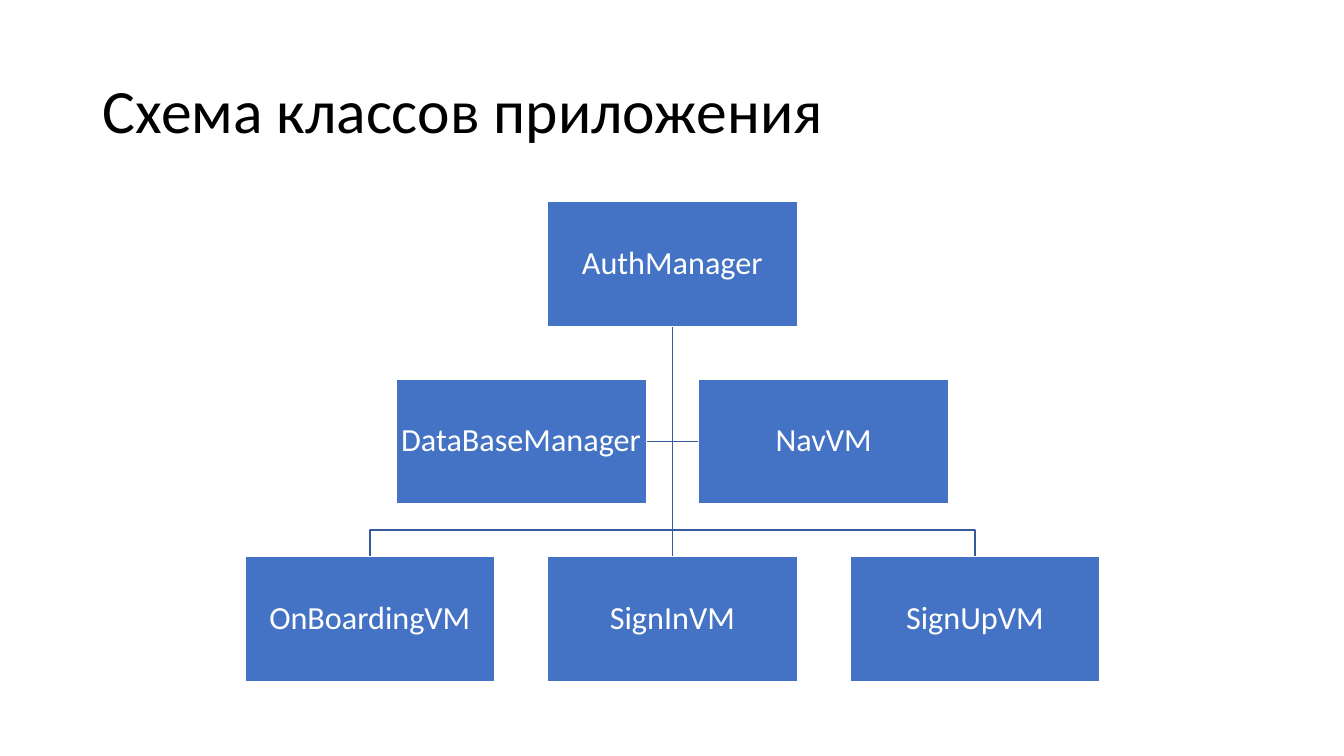
import dataclasses

import lxml.etree
import pptx
import pptx.dml.color
import pptx.enum.shapes
import pptx.enum.text
import pptx.oxml.ns
import pptx.util

SLIDE_WIDTH, SLIDE_HEIGHT = 13.33, 7.5
BOX_WIDTH, BOX_HEIGHT = 2.48, 1.24
COLUMN_STEP, ROW_STEP = 3.0, 1.76
CENTER_X, FIRST_TOP = 6.67, 2.0
JOINT_GAP = 0.26
FONT = "Calibri"
BLUE, LINK_BLUE, WHITE, BLACK = "4472C4", "365B9D", "FFFFFF", "000000"


@dataclasses.dataclass(frozen=True)
class ClassBox:
    name: str
    column: float
    row: int

    @property
    def middle(self) -> float:
        return CENTER_X + self.column * COLUMN_STEP

    @property
    def left(self) -> float:
        return self.middle - BOX_WIDTH / 2

    @property
    def top(self) -> float:
        return FIRST_TOP + self.row * ROW_STEP


ROOT = ClassBox("AuthManager", 0, 0)
ASSISTANTS = [ClassBox("DataBaseManager", -0.5, 1), ClassBox("NavVM", 0.5, 1)]
SIGN_IN = ClassBox("SignInVM", 0, 2)
OUTER_CHILDREN = [ClassBox("OnBoardingVM", -1, 2), ClassBox("SignUpVM", 1, 2)]


def color(value: str) -> pptx.dml.color.RGBColor:
    return pptx.dml.color.RGBColor.from_string(value)


def write(shape, text: str, size: float, text_color: str, alignment) -> None:
    frame = shape.text_frame
    frame.word_wrap = True
    frame.vertical_anchor = pptx.enum.text.MSO_ANCHOR.MIDDLE
    frame.text = text
    para = frame.paragraphs[0]
    para.alignment = alignment
    para.line_spacing = 0.9
    for span in para.runs:
        span.font.name = FONT
        span.font.size = pptx.util.Pt(size)
        span.font.color.rgb = color(text_color)


def style_line(shape, line_color: str) -> None:
    shape.line.color.rgb = color(line_color)
    shape.line.width = pptx.util.Pt(1)


def add_title(page, text: str) -> None:
    box = page.shapes.add_textbox(
        pptx.util.Inches(0.92), pptx.util.Inches(0.4),
        pptx.util.Inches(11.5), pptx.util.Inches(1.45),
    )
    write(box, text, 44, BLACK, pptx.enum.text.PP_ALIGN.LEFT)


def add_class_box(page, item: ClassBox):
    box = page.shapes.add_shape(
        pptx.enum.shapes.MSO_SHAPE.RECTANGLE,
        pptx.util.Inches(item.left), pptx.util.Inches(item.top),
        pptx.util.Inches(BOX_WIDTH), pptx.util.Inches(BOX_HEIGHT),
    )
    box.shadow.inherit = False
    box.fill.solid()
    box.fill.fore_color.rgb = color(BLUE)
    style_line(box, WHITE)
    write(box, item.name, 23, WHITE, pptx.enum.text.PP_ALIGN.CENTER)
    frame = box.text_frame
    inset = pptx.util.Inches(0.02)
    frame.margin_left = frame.margin_right = inset
    frame.margin_top = frame.margin_bottom = inset
    return box


def add_bent_link(page, corners: list[tuple[float, float]]) -> None:
    points = [(pptx.util.Inches(x), pptx.util.Inches(y)) for x, y in corners]
    builder = page.shapes.build_freeform(*points[0])
    builder.add_line_segments(points[1:], close=False)
    link = builder.convert_to_shape()
    link.shadow.inherit = False
    link.fill.background()
    style_line(link, LINK_BLUE)


def add_straight_link(page, upper, lower) -> None:
    link = page.shapes.add_connector(
        pptx.enum.shapes.MSO_CONNECTOR.STRAIGHT, 0, 0, 0, 0
    )
    link.begin_connect(upper, 2)
    link.end_connect(lower, 0)
    style_line(link, LINK_BLUE)
    lxml.etree.SubElement(
        link._element.spPr, pptx.oxml.ns.qn("a:effectLst")
    )


def main() -> None:
    deck = pptx.Presentation()
    deck.slide_width = pptx.util.Inches(SLIDE_WIDTH)
    deck.slide_height = pptx.util.Inches(SLIDE_HEIGHT)
    page = deck.slides.add_slide(deck.slide_layouts[6])
    add_title(page, "Схема классов приложения")

    start = (ROOT.middle, ROOT.top + BOX_HEIGHT)
    for item in ASSISTANTS:
        height = item.top + BOX_HEIGHT / 2
        side = item.left if item.column > 0 else item.left + BOX_WIDTH
        add_bent_link(page, [start, (ROOT.middle, height), (side, height)])
    for item in OUTER_CHILDREN:
        joint = item.top - JOINT_GAP
        add_bent_link(page, [
            start, (ROOT.middle, joint),
            (item.middle, joint), (item.middle, item.top),
        ])

    root_box = add_class_box(page, ROOT)
    sign_in_box = add_class_box(page, SIGN_IN)
    for item in OUTER_CHILDREN + ASSISTANTS:
        add_class_box(page, item)
    add_straight_link(page, root_box, sign_in_box)
    deck.save("out.pptx")


if __name__ == "__main__":
    main()
